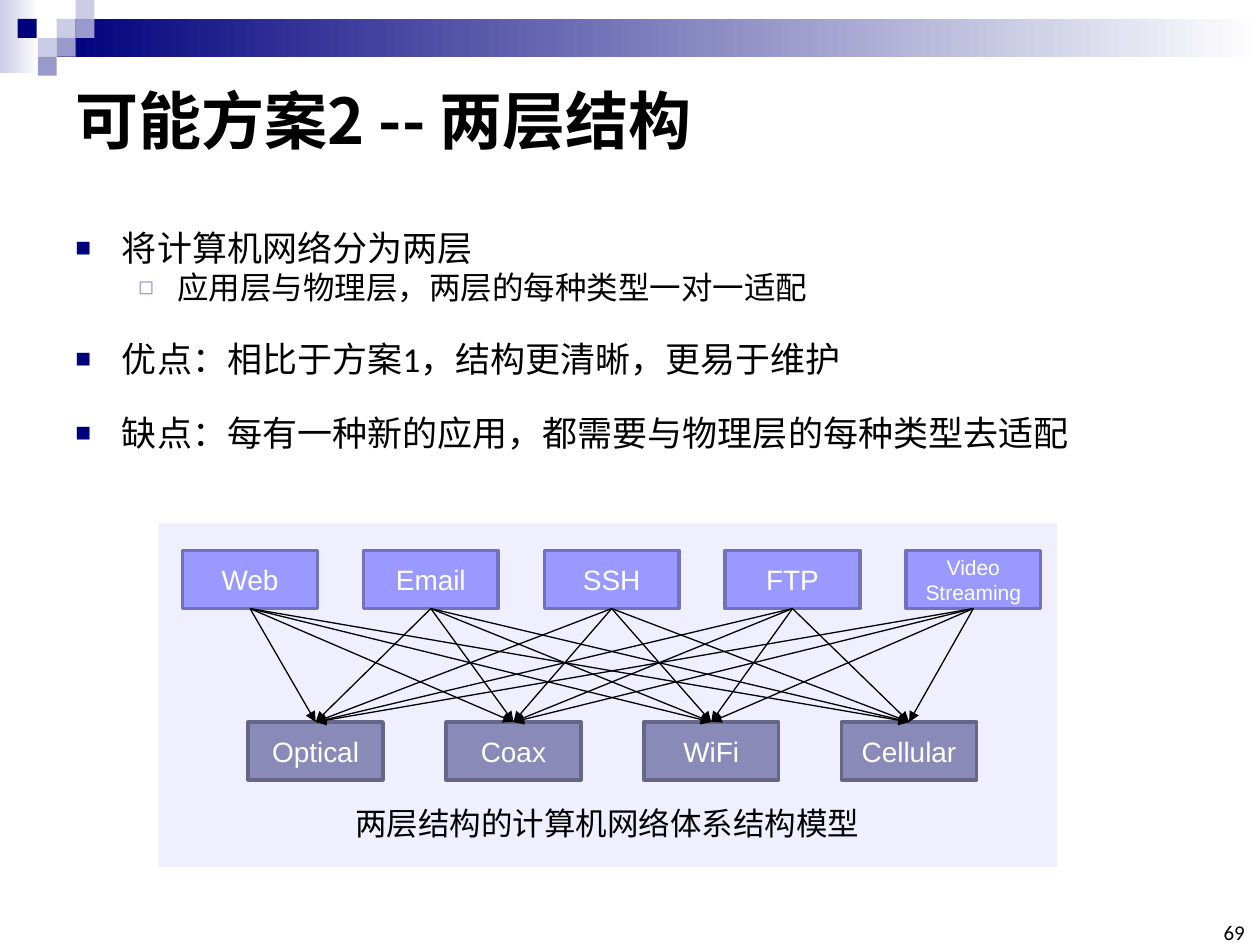
from dataclasses import dataclass
from itertools import product

from lxml.etree import SubElement
from pptx import Presentation
from pptx.dml.color import RGBColor
from pptx.enum.shapes import MSO_CONNECTOR, MSO_SHAPE
from pptx.enum.text import MSO_ANCHOR, PP_ALIGN
from pptx.oxml.ns import qn
from pptx.util import Inches, Pt


@dataclass(frozen=True)
class Theme:
    cjk: str = "Noto Sans CJK SC"
    body: str = "Calibri"
    label: str = "Arial"
    black: str = "000000"
    white: str = "FFFFFF"
    navy: str = "00007D"
    mid: str = "9999CC"
    pale: str = "CCCCE6"
    panel: str = "EFEFFF"
    title_size: int = 36
    point_size: int = 20
    sub_size: int = 18
    box_size: int = 16
    small_size: int = 12


T = Theme()

# Content
TITLE = "可能方案2 -- 两层结构"
BULLETS = [  # level, text
    (0, "将计算机网络分为两层"),
    (1, "应用层与物理层，两层的每种类型一对一适配"),
    (0, "优点：相比于方案1，结构更清晰，更易于维护"),
    (0, "缺点：每有一种新的应用，都需要与物理层的每种类型去适配"),
]
LEVELS = [
    dict(margin=0.37, hang=0.37, char="■", color=T.navy, pct=75,
         size=T.point_size, spacing=1.5, before=6),
    dict(margin=0.81, hang=0.31, char="◻", color=T.mid, pct=80,
         size=T.sub_size, spacing=1.0, before=0),
]
LAYERS = [
    dict(names=["Web", "Email", "SSH", "FTP", "Video Streaming"],
         left=1.45, top=4.37, step=1.435, fill="9999FF", line="7171BD"),
    dict(names=["Optical", "Coax", "WiFi", "Cellular"],
         left=1.97, top=5.73, step=1.57, fill="8A8AB9", line="666689"),
]
BOX_W, BOX_H = 1.07, 0.46
CAPTION = "两层结构的计算机网络体系结构模型"
PAGE = "69"

# Header mosaic: left, top, colour of each square
SQUARE = 0.15
MOSAIC = [
    (0.45, 0.15, T.pale), (0.6, 0, T.pale), (0.6, 0.15, T.mid),
    (0.3, 0.3, T.pale), (0.14, 0.15, T.navy), (0.45, 0.3, T.mid),
    (0.3, 0.45, T.mid),
]
FADES = [  # left, top, width, height, start colour
    (0, 0, 0.31, 0.58, T.pale),
    (0.45, 0.15, 9.55, 0.3, T.navy),
]


def rgb(value):
    return RGBColor.from_string(value)


def style(p, size, font, color=T.black, bold=False):
    for r in p.runs:
        r.font.size = Pt(size)
        r.font.bold = bold
        r.font.color.rgb = rgb(color)
        r.font.name = font
        SubElement(r.font._element, qn("a:ea"), typeface=font)


def add_rect(s, x, y, w, h, fill=None, line=None):
    sp = s.shapes.add_shape(MSO_SHAPE.RECTANGLE, *map(Inches, (x, y, w, h)))
    sp.shadow.inherit = False
    if fill:
        sp.fill.solid()
        sp.fill.fore_color.rgb = rgb(fill)
    if line:
        sp.line.color.rgb = rgb(line)
        sp.line.width = Pt(2)
    else:
        sp.line.fill.background()
    return sp


def add_fade(s, x, y, w, h, start):
    fill = add_rect(s, x, y, w, h).fill
    fill.gradient()
    fill.gradient_angle = 0
    for stop, color in zip(fill.gradient_stops, (start, T.white)):
        stop.color.rgb = rgb(color)


def add_text(s, x, y, w, h, text="", wrap=True):
    tf = s.shapes.add_textbox(*map(Inches, (x, y, w, h))).text_frame
    tf.word_wrap = wrap
    tf.text = text
    return tf


def add_bullet(p, look):
    pPr = p._p.get_or_add_pPr()
    pPr.set("marL", str(Inches(look["margin"])))
    pPr.set("indent", str(-Inches(look["hang"])))
    color = SubElement(pPr, qn("a:buClr"))
    SubElement(color, qn("a:srgbClr"), val=look["color"])
    SubElement(pPr, qn("a:buSzPct"), val=str(look["pct"] * 1000))
    SubElement(pPr, qn("a:buFont"), typeface=T.label)
    SubElement(pPr, qn("a:buChar"), char=look["char"])


def add_arrow(s, start, end):
    c = s.shapes.add_connector(
        MSO_CONNECTOR.STRAIGHT, *map(Inches, (*start, *end)))
    c.line.color.rgb = rgb(T.black)
    c.line.width = Pt(0.75)
    SubElement(c.line._get_or_add_ln(), qn("a:tailEnd"), type="triangle")
    SubElement(c._element.spPr, qn("a:effectLst"))


def add_layer(s, layer):
    """Draw one row of boxes and return their centre x positions."""
    centres = []
    for i, name in enumerate(layer["names"]):
        x = layer["left"] + i * layer["step"]
        sp = add_rect(s, x, layer["top"], BOX_W, BOX_H,
                      layer["fill"], layer["line"])
        tf = sp.text_frame
        tf.word_wrap = True
        tf.vertical_anchor = MSO_ANCHOR.MIDDLE
        tf.text = name
        p = tf.paragraphs[0]
        p.alignment = PP_ALIGN.CENTER
        size = T.small_size if " " in name else T.box_size
        style(p, size, T.label, T.white)
        centres.append(x + BOX_W / 2)
    return centres


def main():
    prs = Presentation()
    prs.slide_width, prs.slide_height = Inches(10), Inches(7.5)
    s = prs.slides.add_slide(prs.slide_layouts[6])

    # Header decoration
    for fade in FADES:
        add_fade(s, *fade)
    for x, y, color in MOSAIC:
        add_rect(s, x, y, SQUARE, SQUARE, color)

    # Title
    tf = add_text(s, 0.5, 0.5, 9, 0.89, TITLE)
    tf.vertical_anchor = MSO_ANCHOR.MIDDLE
    style(tf.paragraphs[0], T.title_size, T.cjk, bold=True)

    # Bullets
    tf = add_text(s, 0.5, 1.58, 9, 2.9)
    for i, (level, text) in enumerate(BULLETS):
        look = LEVELS[level]
        p = tf.add_paragraph() if i else tf.paragraphs[0]
        p.text = text
        p.level = level
        add_bullet(p, look)
        p.line_spacing = look["spacing"]
        p.space_before = Pt(look["before"] if i else 0)
        style(p, look["size"], T.body)

    # Page number
    tf = add_text(s, 9.65, 7.33, 0.23, 0.17, PAGE)
    tf.margin_left = tf.margin_right = tf.margin_top = tf.margin_bottom = 0
    tf.vertical_anchor = MSO_ANCHOR.BOTTOM
    tf.paragraphs[0].alignment = PP_ALIGN.RIGHT
    style(tf.paragraphs[0], T.small_size, T.body)

    # Two-layer diagram: every application links to every medium
    add_rect(s, 1.26, 4.15, 7.13, 2.73, T.panel)
    apps, media = [add_layer(s, layer) for layer in LAYERS]
    start_y, end_y = LAYERS[0]["top"] + BOX_H, LAYERS[1]["top"]
    for app, medium in product(apps, media):
        add_arrow(s, (app, start_y), (medium, end_y))
    tf = add_text(s, 2.72, 6.33, 4.24, 0.4, CAPTION, wrap=False)
    style(tf.paragraphs[0], T.sub_size, T.cjk)

    prs.save("out.pptx")


if __name__ == "__main__":
    main()
